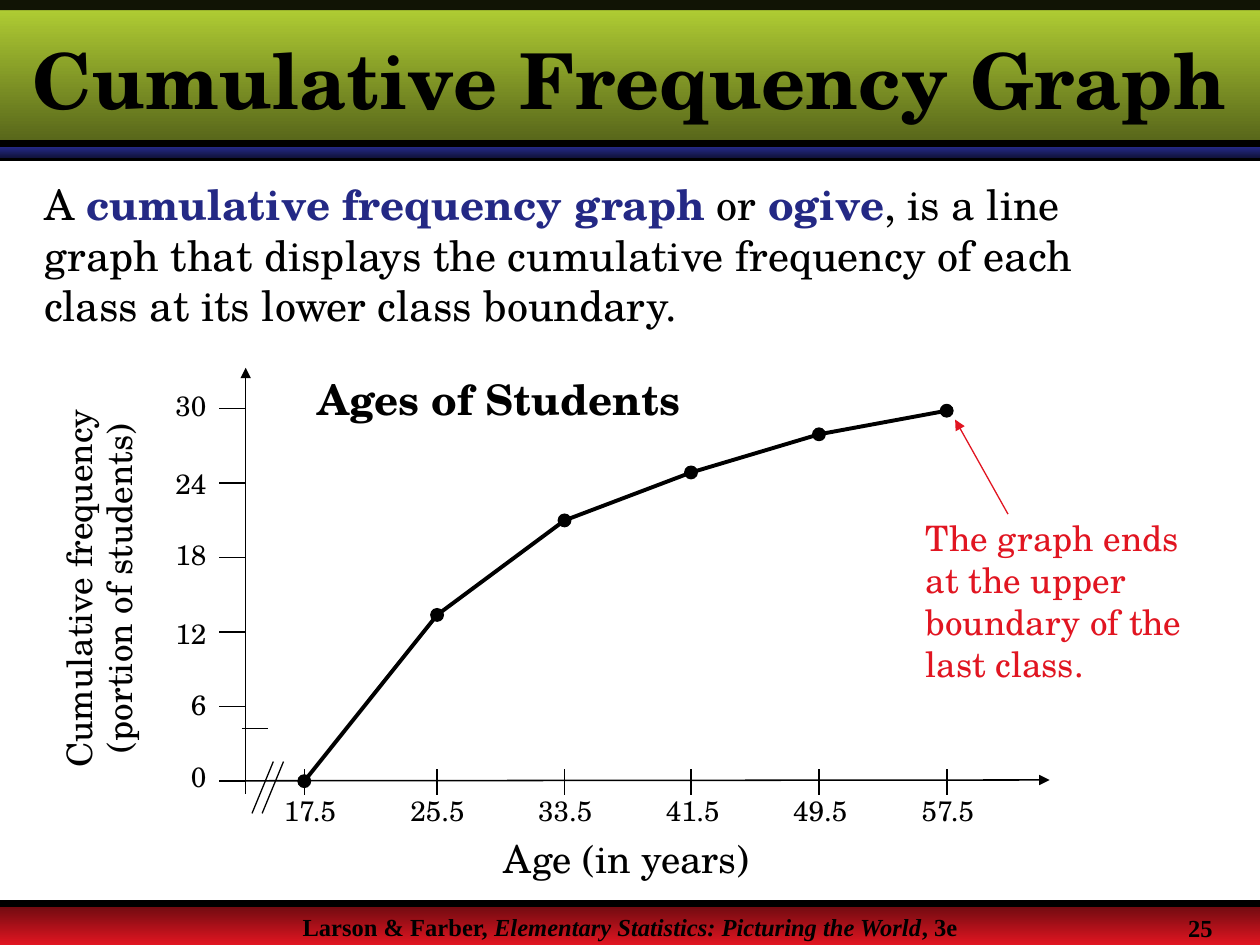
import pptx
import pptx.util
import pptx.dml.color
import pptx.enum.shapes
import pptx.enum.text
import pptx.oxml
import pptx.oxml.ns
import lxml.etree

Pt = pptx.util.Pt
ALIGN = pptx.enum.text.PP_ALIGN
SHAPE = pptx.enum.shapes.MSO_SHAPE
SCHOLA, TIMES = "TeX Gyre Schola", "Times New Roman"
BLACK, BLUE, RED = "000000", "242985", "E11521"

TITLE = "Cumulative Frequency Graph"
DEFINITION = [
    ("A ", {}),
    ("cumulative frequency graph", {"color": BLUE, "bold": True}),
    (" or ", {}),
    ("ogive", {"color": BLUE, "bold": True}),
    (", is a line graph that displays the cumulative frequency of each class "
     "at its lower class boundary.", {}),
]
FOOTER = [
    ("Larson & Farber, ", {}),
    ("Elementary Statistics: Picturing the World", {"italic": True}),
    (", 3e", {}),
]
PAGE = "25"
CHART_TITLE = "Ages of Students"
X_TITLE = "Age (in years)"
Y_TITLE = ["Cumulative frequency", "(portion of students)"]
NOTE = "The graph ends at the upper boundary of the last class."
X_LABELS = ["17.5", "25.5", "33.5", "41.5", "49.5", "57.5"]
Y_LABELS = [("0", 434.2), ("6", 393.1), ("12", 352.1),
            ("18", 307.4), ("24", 266.4), ("30", 221.8)]
POINTS = [(173.9, 446.4), (249.8, 351.4), (322.6, 297.4),
          (394.9, 270), (468, 248.2), (541, 234.7)]

AXIS_X, AXIS_Y = 140.4, 446.2
TICK_GAP, LABEL_GAP = 42.6, 72.9
THIN, DOT = 0.88, 7.2


def rgb(value):
    return pptx.dml.color.RGBColor.from_string(value)


def add_band(top, height, start, end):
    s = shapes.add_shape(SHAPE.RECTANGLE, 0, Pt(top), Pt(720), Pt(height))
    s.shadow.inherit = False
    s.line.fill.background()
    s.fill.gradient()
    s.fill.gradient_angle = 270
    for stop, color, position in zip(s.fill.gradient_stops, (start, end), (0, 1)):
        stop.color.rgb = rgb(color)
        stop.position = position


def add_line(x1, y1, x2, y2, width=THIN, color=BLACK, arrow=False):
    c = shapes.add_connector(pptx.enum.shapes.MSO_CONNECTOR.STRAIGHT,
                             Pt(x1), Pt(y1), Pt(x2), Pt(y2))
    c.line.color.rgb = rgb(color)
    c.line.width = Pt(width)
    if arrow:
        lxml.etree.SubElement(c.line._get_or_add_ln(), pptx.oxml.ns.qn("a:tailEnd"),
                              type="triangle")
    lxml.etree.SubElement(c._element.spPr, pptx.oxml.ns.qn("a:effectLst"))


def add_dot(x, y):
    s = shapes.add_shape(SHAPE.OVAL, Pt(x - DOT / 2), Pt(y - DOT / 2), Pt(DOT), Pt(DOT))
    s.shadow.inherit = False
    s.fill.solid()
    s.fill.fore_color.rgb = rgb(BLACK)
    s.line.color.rgb = rgb(BLACK)
    s.line.width = Pt(0.75)


def format_run(r, size, font=SCHOLA, color=BLACK, bold=False, italic=False):
    r.font.size = Pt(size)
    r.font.name = font
    r.font.color.rgb = rgb(color)
    r.font.bold = bold
    r.font.italic = italic


def write_runs(p, runs, **style):
    for text, changes in runs:
        r = p.add_run()
        r.text = text
        format_run(r, **{**style, **changes})


def add_text(left, top, width, height, lines, align=ALIGN.LEFT, inset=True, **style):
    s = shapes.add_textbox(Pt(left), Pt(top), Pt(width), Pt(height))
    tf = s.text_frame
    tf.word_wrap = True
    if not inset:
        tf.margin_left = tf.margin_right = tf.margin_top = tf.margin_bottom = 0
    for i, runs in enumerate(lines):
        p = tf.paragraphs[0] if i == 0 else tf.add_paragraph()
        p.alignment = align
        write_runs(p, runs, **style)
    return s


def place(s, left, top, width, height, anchor):
    s.left, s.top, s.width, s.height = Pt(left), Pt(top), Pt(width), Pt(height)
    tf = s.text_frame
    tf.auto_size = pptx.enum.text.MSO_AUTO_SIZE.NONE
    tf.word_wrap = True
    tf.vertical_anchor = anchor
    shapes._spTree.append(s._element)
    p = tf.paragraphs[0]
    p.space_before = Pt(0)
    return p


prs = pptx.Presentation()
prs.slide_width, prs.slide_height = Pt(720), Pt(540)
slide = prs.slides.add_slide(prs.slide_layouts[1])
shapes = slide.shapes

add_band(516.2, 23.8, "680A0F", RED)
add_line(0, 90, 720, 90, 4)
add_band(84.2, 5.8, BLUE, "11133E")
add_band(0, 84.2, "B5D335", "546219")
add_line(0, 516.2, 720, 516.2, 4)
s = shapes.add_shape(SHAPE.RECTANGLE, 0, 0, Pt(720), Pt(5.8))
s.shadow.inherit = False
s.line.fill.background()
s.fill.solid()
s.fill.fore_color.rgb = rgb(BLACK)
color = s._element.spPr.find(".//" + pptx.oxml.ns.qn("a:srgbClr"))
lxml.etree.SubElement(color, pptx.oxml.ns.qn("a:alpha"), val="90000")
add_line(0, 82.1, 720, 82.1, 4)
add_text(0, 517.7, 720, 22, [FOOTER], ALIGN.CENTER, size=14, font=TIMES, bold=True)
add_text(671.8, 518.4, 48, 21.6, [[(PAGE, {})]], size=14, font=TIMES, bold=True)

p = place(shapes.title, 0, 5.8, 720, 77.8, pptx.enum.text.MSO_ANCHOR.MIDDLE)
p.alignment = ALIGN.CENTER
write_runs(p, [(TITLE, {})], size=44, bold=True)

p = place(slide.placeholders[1], 18, 98.6, 653.8, 95, pptx.enum.text.MSO_ANCHOR.TOP)
pPr = p._p.get_or_add_pPr()
pPr.set("marL", "0")
pPr.set("indent", "0")
lxml.etree.SubElement(pPr, pptx.oxml.ns.qn("a:buNone"))
write_runs(p, DEFINITION, size=24)

add_line(135.4, AXIS_Y, 599.8, AXIS_Y - 0.5, arrow=True)
add_line(AXIS_X, 453.6, AXIS_X, 210.2, arrow=True)
add_line(138.2, 416.2, 153.4, 416.2)
for x in (156.2, 162):
    add_line(x, 435.2, x - 12.2, 464.8, 0.75)
for i, (label, top) in enumerate(Y_LABELS):
    y = AXIS_Y + 0.2 - i * TICK_GAP
    add_line(AXIS_X - 15, y, AXIS_X, y)
    add_text(88, top, 30, 19.4, [[(label, {})]], ALIGN.RIGHT, False, size=16)
for i, (label, (x, y)) in enumerate(zip(X_LABELS, POINTS)):
    add_line(x, 454.3, x, 439.2)
    add_text(152.2 + i * LABEL_GAP, 453.6, 50, 19.4, [[(label, {})]],
             ALIGN.CENTER, False, size=16)
    add_dot(x, y)
for start, end in zip(POINTS, POINTS[1:]):
    add_line(*start, *end, 2.25)

add_text(174.2, 210.2, 250.6, 36, [[(CHART_TITLE, {})]], size=24, bold=True)
add_text(280.8, 473.8, 160, 33.8, [[(X_TITLE, {})]], size=22)
s = add_text(-56.2, 309.6, 228.2, 53.3, [[(line, {})] for line in Y_TITLE],
             ALIGN.CENTER, size=20)
s.rotation = 270
for p in s.text_frame.paragraphs:
    p.line_spacing = 0.95
add_text(522, 291.6, 162, 103.7, [[(NOTE, {})]], size=20, color=RED)
add_line(576, 293.8, 545.8, 239.8, 0.75, RED, arrow=True)

prs.save("out.pptx")
